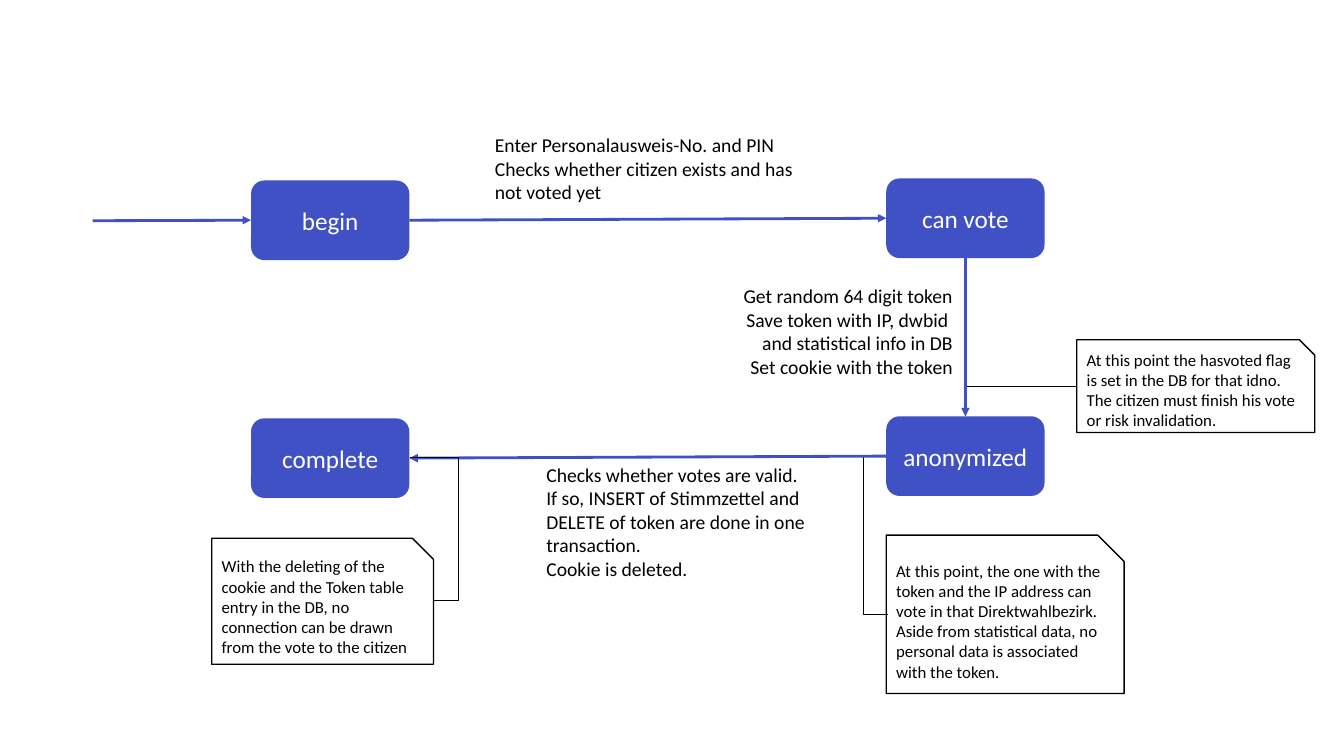
from lxml import etree
from pptx import Presentation
from pptx import util as u
from pptx.dml.color import RGBColor
from pptx.enum import shapes, text
from pptx.oxml import ns

HUES = {"blue": "3F51C5", "black": "000000", "white": "FFFFFF"}
LEFT, TOP, RIGHT, DOWN = 1, 0, 3, 2
MID = text.MSO_ANCHOR.MIDDLE
ALIGN = text.PP_ALIGN
WIDE, HIGH = 1.57, 0.79

STATES = {
    "begin": (2.49, 1.79),
    "can vote": (8.79, 1.77),
    "anonymized": (8.79, 4.13),
    "complete": (2.49, 4.15),
}
MOVES = [
    ("begin", RIGHT, "can vote", LEFT),
    ("can vote", DOWN, "anonymized", TOP),
    ("anonymized", LEFT, "complete", RIGHT),
]
LABELS = [
    ((4.81, 1.27, 3.23, 0.81), ALIGN.LEFT,
     ["Enter Personalausweis-No. and PIN",
      "Checks whether citizen exists and has",
      "not voted yet"]),
    ((7.25, 2.77, 2.3, 1.04), ALIGN.RIGHT,
     ["Get random 64 digit token",
      "Save token with IP, dwbid ",
      "and statistical info in DB",
      "Set cookie with the token"]),
    ((5.32, 4.54, 2.83, 1.28), ALIGN.LEFT,
     ["Checks whether votes are valid.",
      "If so, INSERT of Stimmzettel and",
      "DELETE of token are done in one",
      "transaction.",
      "Cookie is deleted."]),
]
NOTES = [
    ((8.79, 5.31, 2.36, 1.57),
     ["At this point, the one with the token and the IP address can vote "
      "in that Direktwahlbezirk.",
      "Aside from statistical data, no personal data is associated with "
      "the token."]),
    ((10.68, 3.37, 2.36, 0.92),
     ["At this point the hasvoted flag is set in the DB for that idno.",
      "The citizen must finish his vote or risk invalidation."]),
    ((2.1, 5.34, 2.2, 1.25),
     ["With the deleting of the cookie and the Token table entry in the DB, "
      "no connection can be drawn from the vote to the citizen"]),
]
LEADS = [
    ((8.81, 6.1), (8.79, 4.53), 8.56),
    ((10.68, 3.83), (9.58, 4.13), None),
    ((4.3, 5.96), (4.07, 4.54), 4.55),
]


def color(name):
    return RGBColor.from_string(HUES[name])


def write(shape, lines, size, hue, align, **frame):
    body = shape.text_frame
    for key, value in frame.items():
        setattr(body, key, value)
    body.text = "\n".join(lines)
    form = {"size": u.Pt(size), "name": "Calibri"}
    for para in body.paragraphs:
        para.alignment = align
        for run in para.runs:
            for key, value in form.items():
                setattr(run.font, key, value)
            run.font.color.rgb = color(hue)


def block(slide, kind, box):
    shape = slide.shapes.add_shape(kind, *map(u.Inches, box))
    shape.shadow.inherit = False
    return shape


def state(slide, name, spot):
    shape = block(slide, shapes.MSO_SHAPE.ROUNDED_RECTANGLE,
                  (*spot, WIDE, HIGH))
    shape.fill.solid()
    shape.fill.fore_color.rgb = color("blue")
    shape.line.fill.background()
    write(shape, [name], 18, "white", ALIGN.CENTER,
          word_wrap=True, vertical_anchor=MID)
    return shape


def note(slide, box, lines):
    shape = block(slide, shapes.MSO_SHAPE.SNIP_1_RECTANGLE, box)
    shape.fill.background()
    shape.line.color.rgb = color("black")
    shape.line.width = u.Pt(1)
    write(shape, lines, 12, "black", ALIGN.LEFT,
          word_wrap=True, vertical_anchor=MID)


def label(slide, box, align, lines):
    shape = slide.shapes.add_textbox(*map(u.Inches, box))
    write(shape, lines, 14, "black", align, word_wrap=False,
          auto_size=text.MSO_AUTO_SIZE.SHAPE_TO_FIT_TEXT)


def link(slide, kind, start, end, hue, width):
    line = slide.shapes.add_connector(kind, *map(u.Inches, start + end))
    line.line.color.rgb = color(hue)
    line.line.width = u.Pt(width)
    etree.SubElement(line.element.spPr, ns.qn("a:effectLst"))
    return line


def arrow(slide, start, end):
    line = link(slide, shapes.MSO_CONNECTOR.STRAIGHT, start, end, "blue", 2)
    stroke = line.element.spPr.find(ns.qn("a:ln"))
    etree.SubElement(stroke, ns.qn("a:tailEnd"), type="triangle")
    return line


def lead(slide, start, end, bend):
    line = link(slide, shapes.MSO_CONNECTOR.ELBOW, start, end, "black", 0.5)
    geom = line.element.spPr.find(ns.qn("a:prstGeom"))
    if bend is None:
        geom.set("prst", "bentConnector2")
        return
    ratio = (bend - start[0]) / (end[0] - start[0])
    guides = geom.find(ns.qn("a:avLst"))
    etree.SubElement(guides, ns.qn("a:gd"), name="adj1",
                     fmla=f"val {round(ratio * 100000)}")


def diagram(slide):
    for item in LEADS[:2]:
        lead(slide, *item)
    nodes = {name: state(slide, name, spot) for name, spot in STATES.items()}
    for source, out, target, into in MOVES:
        line = arrow(slide, STATES[source], STATES[target])
        line.begin_connect(nodes[source], out)
        line.end_connect(nodes[target], into)
    entry = arrow(slide, (0.92, 2.19), (2.49, 2.18))
    entry.end_connect(nodes["begin"], LEFT)
    for item in LABELS:
        label(slide, *item)
    for item in NOTES:
        note(slide, *item)
    lead(slide, *LEADS[2])


def main():
    deck = Presentation()
    deck.slide_width = u.Inches(13.33)
    deck.slide_height = u.Inches(7.5)
    diagram(deck.slides.add_slide(deck.slide_layouts[6]))
    deck.save("out.pptx")


if __name__ == "__main__":
    main()
